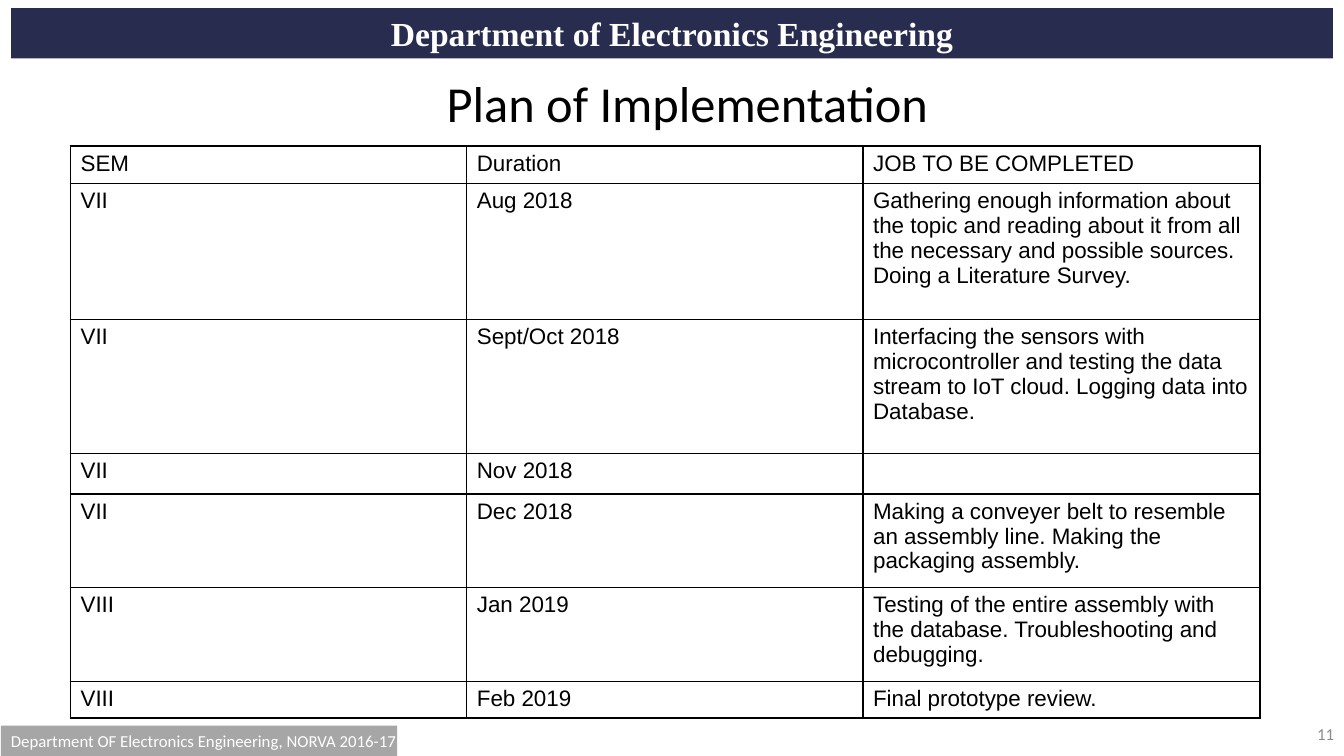
from lxml import etree
from pptx import Presentation
from pptx.dml.color import RGBColor
from pptx.enum.shapes import MSO_SHAPE
from pptx.enum.text import MSO_ANCHOR, MSO_AUTO_SIZE, PP_ALIGN
from pptx.oxml import parse_xml
from pptx.oxml.ns import nsdecls
from pptx.util import Inches, Pt


def rgb(value):
    return RGBColor.from_string(value)


def write(tf, text, size, font, color, align=PP_ALIGN.LEFT, bold=False):
    p = tf.paragraphs[0]
    p.alignment = align
    r = p.add_run()
    r.text = text
    r.font.size, r.font.name, r.font.bold = Pt(size), font, bold
    r.font.color.rgb = rgb(color)


prs = Presentation()
prs.slide_width, prs.slide_height = Inches(13.33), Inches(7.5)
s = prs.slides.add_slide(prs.slide_layouts[5])

# Department banner and footer
bars = [
    (0.11, 0.08, 13.11, 0.5, "282C4E", "Department of Electronics Engineering",
     24, "Times New Roman", PP_ALIGN.CENTER, True),
    (0.01, 7.2, 3.93, 0.3, "A6A6A6", "Department OF Electronics Engineering, NORVA 2016-17",
     12, "Calibri", PP_ALIGN.LEFT, False),
]
for left, top, width, height, fill, text, size, font, align, bold in bars:
    sp = s.shapes.add_shape(MSO_SHAPE.RECTANGLE, Inches(left), Inches(top),
                            Inches(width), Inches(height))
    sp.shadow.inherit = False
    sp.fill.solid()
    sp.fill.fore_color.rgb = rgb(fill)
    sp.line.fill.background()
    tf = sp.text_frame
    tf.vertical_anchor = MSO_ANCHOR.TOP
    tf.word_wrap = bold
    write(tf, text, size, font, "FFFFFF", align, bold)

# Slide number
sp = s.shapes.add_textbox(Inches(12.78), Inches(7.08), Inches(0.55), Inches(0.4))
tf = sp.text_frame
tf.word_wrap = True
tf.vertical_anchor = MSO_ANCHOR.MIDDLE
write(tf, "11", 12, "Calibri", "8B8B8B", PP_ALIGN.RIGHT)

# Title
title = s.shapes.title
title.left, title.top = Inches(4.33), Inches(0.67)
title.width, title.height = Inches(4.98), Inches(0.7)
tf = title.text_frame
tf.auto_size = MSO_AUTO_SIZE.NONE
tf.word_wrap = False
tf.vertical_anchor = MSO_ANCHOR.TOP
write(tf, "Plan of Implementation", 36, "Calibri", "000000")

# Plan table: row height, then semester, duration and job
plan = [
    (0.37, "SEM", "Duration", "JOB TO BE COMPLETED"),
    (1.35, "VII", "Aug 2018", "Gathering enough information about the topic and reading about it "
     "from all the necessary and possible sources. Doing a Literature Survey."),
    (1.33, "VII", "Sept/Oct 2018", "Interfacing the sensors with microcontroller and testing "
     "the data stream to IoT cloud. Logging data into Database."),
    (0.37, "VII", "Nov 2018", ""),
    (0.93, "VII", "Dec 2018", "Making a conveyer belt to resemble an assembly line. "
     "Making the packaging assembly."),
    (0.93, "VIII", "Jan 2019", "Testing of the entire assembly with the database. "
     "Troubleshooting and debugging."),
    (0.35, "VIII", "Feb 2019", "Final prototype review."),
]
col_widths = [3.93, 3.93, 3.94]
frame = s.shapes.add_table(len(plan), len(col_widths), Inches(0.7), Inches(1.45),
                           Inches(sum(col_widths)), Inches(sum(row[0] for row in plan)))
table = frame.table
table.first_row = table.horz_banding = False
for column, width in zip(table.columns, col_widths):
    column.width = Inches(width)

for i, (height, *texts) in enumerate(plan):
    table.rows[i].height = Inches(height)
    for j, text in enumerate(texts):
        cell = table.cell(i, j)
        write(cell.text_frame, text, 16, "Arial", "000000")
        # Borders, heavier around the outside
        outer = {"lnL": j == 0, "lnR": j == len(texts) - 1,
                 "lnT": i == 0, "lnB": i == len(plan) - 1}
        tcPr = cell._tc.get_or_add_tcPr()
        for side, heavy in outer.items():
            ln = parse_xml(f'<a:{side} {nsdecls("a")} w="{Pt(1.5 if heavy else 1)}"/>')
            fill = etree.SubElement(ln, ln.tag.replace(side, "solidFill"))
            etree.SubElement(fill, ln.tag.replace(side, "srgbClr"), val="000000")
            tcPr.append(ln)
        cell.fill.background()

prs.save("out.pptx")
